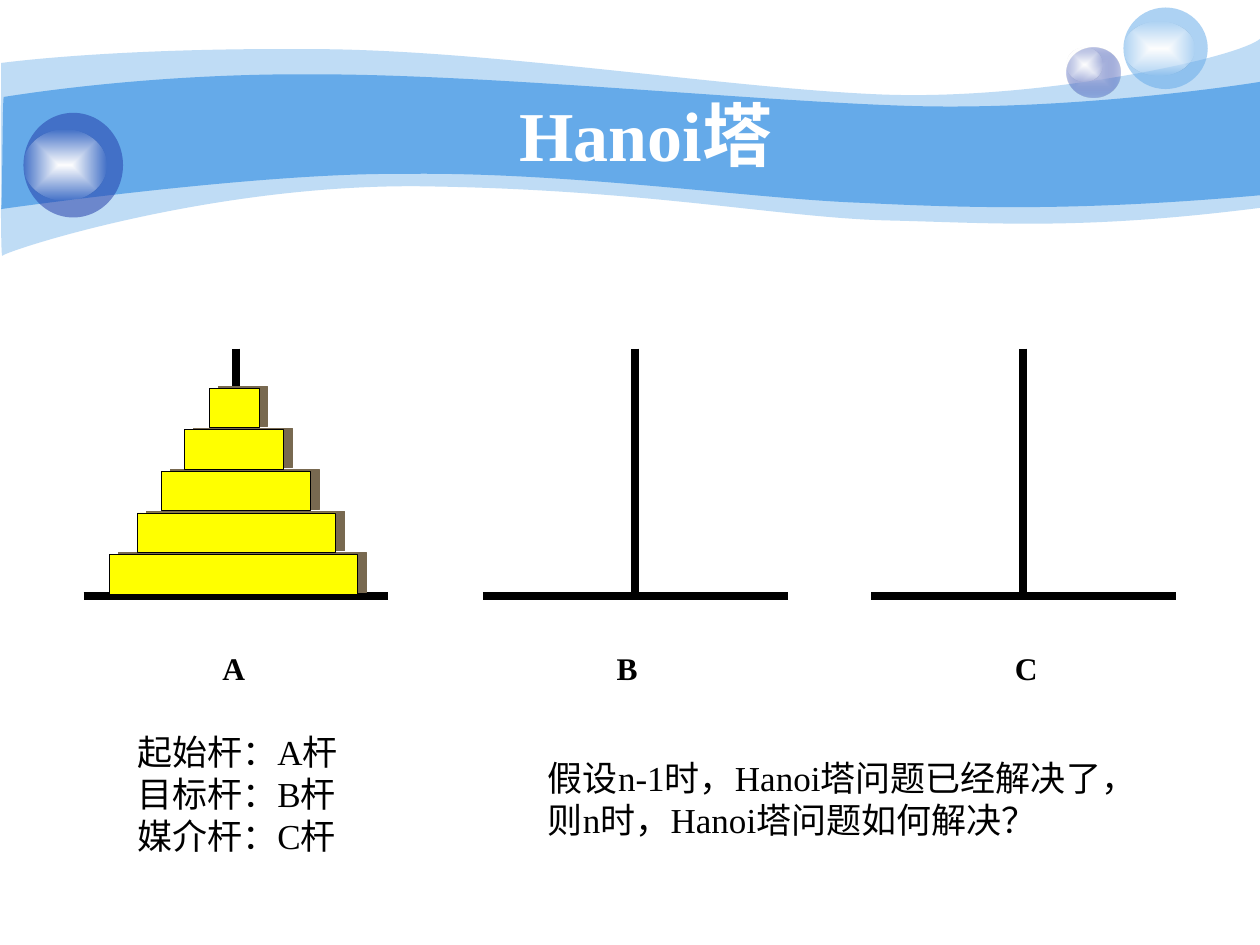
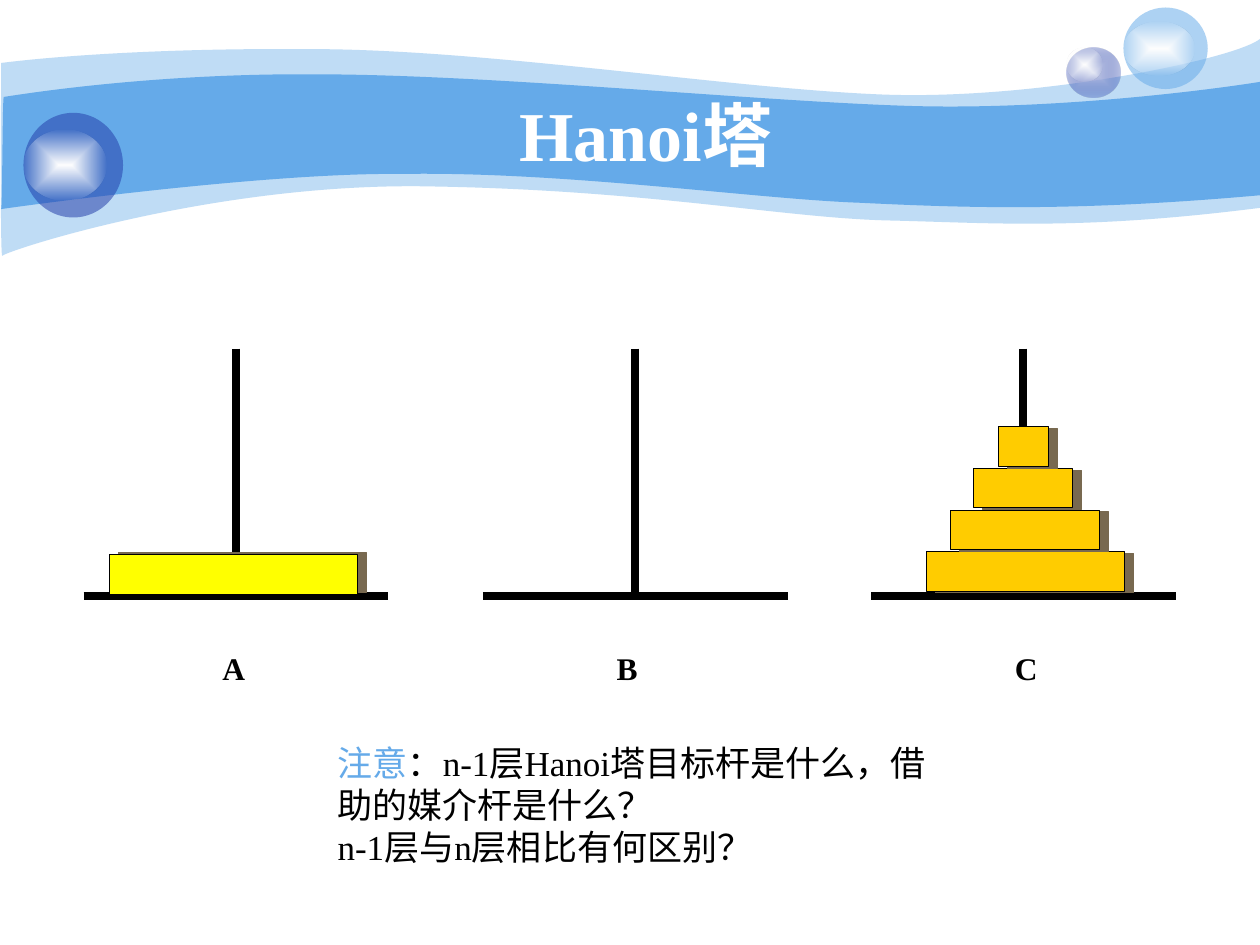
from lxml import etree
from pptx import Presentation
from pptx.dml.color import RGBColor
from pptx.enum.shapes import MSO_CONNECTOR as LINE, MSO_SHAPE as SHAPE
from pptx.enum.text import MSO_ANCHOR as ANCHOR, MSO_AUTO_SIZE as FIT, PP_ALIGN as ALIGN
from pptx.oxml import parse_xml
from pptx.oxml.ns import nsdecls, qn
from pptx.util import Pt

HUES = dict(sky="65AAE9", navy="233DA9", mist="C7CEE9", white="FFFFFF", black="000000",
            yellow="FFFF00", gold="FFCC00", shade="786950")
FACE = "Times New Roman"
TITLE = "Hanoi塔"

# Bands: opacity, start point, then curves (two handles and an end) or single line points
BANDS = [
    (41, (0.7, 36), [
        [(18, 33.8), (78.5, 27.4), (177.8, 28.1)],
        [(277.9, 28.1), (414.7, 50.4), (503.3, 54)],
        [(591.8, 57.6), (705.6, 33.8), (720, 22.3)],
        [(720, 118.8)],
        [(617.8, 131.8), (567.4, 127.4), (507.6, 126)],
        [(447.8, 124.6), (371.5, 108.7), (247.7, 106.6)],
        [(124.6, 103.7), (3.6, 143.3), (1.4, 146.2)],
        [(0, 149.8), (0.7, 54), (0.7, 36)]]),
    (100, (2.2, 55.4), [
        [(3.6, 55.4), (80.6, 41.8), (180, 42.5)],
        [(279.4, 42.5), (429.1, 57.6), (517.7, 60.5)],
        [(606.2, 63.4), (702.7, 49.7), (720, 46.8)],
        [(720, 111.6)],
        [(614.2, 121), (551.5, 118.8), (491.8, 115.9)],
        [(432, 113.8), (322.6, 97.9), (229.7, 99.4)],
        [(147.6, 98.6), (0, 119.5), (0.7, 119.5)],
        [(1.4, 119.5), (1.4, 55.4), (2.2, 55.4)]]),
]

# Bubbles: box, then fill stops as (hue, opacity) from centre to rim
GLOW = [("white", 100), ("white", 0)]
BUBBLES = [
    ((609.8, 27.2, 30.2, 28.8), [("mist", 100), ("navy", 31)]),
    ((609.8, 27.2, 20.2, 19.4), GLOW),
    ((642, 4.3, 48.2, 46.6), [("sky", 53)]),
    ((642, 12.2, 40.3, 31), GLOW),
    ((13.4, 64.5, 56.9, 59.8), [("navy", 53)]),
    ((13.4, 74.2, 47.5, 40.3), GLOW),
]

# Pegs: name, pole x, label centre x
PEGS = [("A", 134.8, 133.5), ("B", 363, 358.4), ("C", 584.8, 586.3)]
TOP, BASE, HALF = 199.2, 340.8, 87
UNIT, THICK, STEP = 28.35, 22.6, 23.76
LEAN = {5: -1.3, 4: 0.4, 3: 0.1, 2: -1, 1: -0.8}  # disc size: offset from its pole

# Stacks: disc sizes from the bottom, hue, shadow angle, shift of all discs, lowest top.
# Notes: box, then paragraphs of (text, hue) runs.
SLIDES = [
    dict(stacks={"A": ([5, 4, 3, 2, 1], "yellow", 349, 0, 316.9)},
         notes=[((306, 428.8, 354.2, 55.4),
                 [[("假设n-1时，Hanoi塔问题已经解决了，则n时，Hanoi塔问题如何解决？", "black")]]),
                ((71.3, 414, 200.2, 79.9),
                 [[("起始杆：A杆", "black")], [("目标杆：B杆", "black")],
                  [("媒介杆：C杆", "black")]])]),
    dict(stacks={"A": ([5], "yellow", 349, 0, 316.9),
                 "C": ([4, 3, 2, 1], "gold", 11, 0.9, 315.2)},
         notes=[((185.8, 420.2, 354.2, 79.9),
                 [[("注意", "sky"), ("：n-1层Hanoi塔目标杆是什么，借助的媒介杆是什么？", "black")],
                  [("n-1层与n层相比有何区别？", "black")]])]),
]


def rgb(hue):
    return RGBColor.from_string(HUES[hue])


def pts(*nums):
    return [Pt(n) for n in nums]


def style(font, size, hue=None, bold=False):
    font.name, font.size, font.bold = FACE, Pt(size), bold
    if hue:
        font.color.rgb = rgb(hue)


def paint(shape, stops):
    """Fill with one hue or a centred gradient, each with its opacity."""
    shape.shadow.inherit = False
    shape.line.fill.background()
    tints = [f'<a:srgbClr val="{HUES[hue]}"><a:alpha val="{share * 1000}"/></a:srgbClr>'
             for hue, share in stops]
    if len(tints) == 1:
        xml = f'<a:solidFill {nsdecls("a")}>{tints[0]}</a:solidFill>'
    else:
        xml = (f'<a:gradFill {nsdecls("a")} rotWithShape="1"><a:gsLst>'
               f'<a:gs pos="0">{tints[0]}</a:gs><a:gs pos="100000">{tints[1]}</a:gs></a:gsLst>'
               '<a:path path="shape"><a:fillToRect l="50000" t="50000" r="50000" b="50000"/>'
               '</a:path></a:gradFill>')
    shape.element.spPr.find(qn("a:ln")).addprevious(parse_xml(xml))


def band(slide, start, parts):
    """Draw the outline through all points, then turn each triple into a curve."""
    pen = slide.shapes.build_freeform(*pts(*start))
    pen.add_line_segments([pts(*dot) for part in parts for dot in part], close=True)
    shape = pen.convert_to_shape()
    steps = iter(list(shape.element.iter(qn("a:lnTo"))))
    for part in parts:
        first, *rest = [next(steps) for _ in part]
        if rest:
            first.tag = qn("a:cubicBezTo")
        for step in rest:
            first.append(step[0])
            step.getparent().remove(step)
    return shape


def dress(master, slide):
    """Draw bands and bubbles, then move them to the master for all slides."""
    made = []
    for share, start, parts in BANDS:
        made.append(band(slide, start, parts))
        paint(made[-1], [("sky", share)])
    for box, stops in BUBBLES:
        made.append(slide.shapes.add_shape(SHAPE.OVAL, *pts(*box)))
        paint(made[-1], stops)
    for i, shape in enumerate(made):
        shape.element.nvSpPr.cNvPr.set("id", str(100 + i))
        master.shapes.element.append(shape.element)


def head(slide):
    title = slide.shapes.title
    title.left, title.top, title.width, title.height = pts(78.1, 54, 581.8, 44.6)
    frame = title.text_frame
    frame.text = TITLE
    frame.auto_size, frame.vertical_anchor = FIT.NONE, ANCHOR.MIDDLE
    para = frame.paragraphs[0]
    para.alignment = ALIGN.CENTER
    style(para.font, 40, "white", True)


def rod(slide, *ends):
    line = slide.shapes.add_connector(LINE.STRAIGHT, *pts(*ends))
    line.line.color.rgb, line.line.width = rgb("black"), Pt(4.5)
    etree.SubElement(line.element.spPr, qn("a:effectLst"))


def disc(slide, box, hue, angle):
    shape = slide.shapes.add_shape(SHAPE.RECTANGLE, *pts(*box))
    shape.fill.solid()
    shape.fill.fore_color.rgb = rgb(hue)
    shape.line.color.rgb, shape.line.width = rgb("black"), Pt(0.5)
    shape.shadow.inherit = False
    shade = etree.SubElement(shape.element.spPr.find(qn("a:effectLst")), qn("a:outerShdw"),
                             dist=str(Pt(5.1)), dir=str(angle * 60000), algn="ctr",
                             rotWithShape="0")
    etree.SubElement(shade, qn("a:srgbClr"), val=HUES["shade"])


def stack(slide, x, sizes, hue, angle, shift, low):
    for i, size in enumerate(sizes):
        wide = size * UNIT
        left = x + LEAN[size] + shift - wide / 2
        disc(slide, (left, low - i * STEP, wide, THICK), hue, angle)


def peg(slide, name, x, mid, pile):
    rod(slide, x - HALF, BASE, x + HALF, BASE)
    rod(slide, x, TOP, x, BASE)
    if pile:
        stack(slide, x, *pile)
    frame = slide.shapes.add_textbox(*pts(mid - 13.5, 367.2, 27, 28.8)).text_frame
    frame.text, frame.word_wrap = name, False
    frame.auto_size, frame.vertical_anchor = FIT.SHAPE_TO_FIT_TEXT, ANCHOR.MIDDLE
    para = frame.paragraphs[0]
    para.alignment = ALIGN.CENTER
    style(para.font, 18, "black", True)


def note(slide, box, paras):
    shape = slide.shapes.add_textbox(*pts(*box))
    frame = shape.text_frame
    frame.word_wrap, frame.auto_size = True, FIT.SHAPE_TO_FIT_TEXT
    for i, runs in enumerate(paras):
        para = frame.add_paragraph() if i else frame.paragraphs[0]
        style(para.font, 20)
        for text, hue in runs:
            run = para.add_run()
            run.text, run.font.color.rgb = text, rgb(hue)
    for props in shape.element.iter(qn("a:pPr")):
        props.set("hangingPunct", "0")


def main():
    prs = Presentation()
    prs.slide_width, prs.slide_height = pts(720, 540)
    for i, plan in enumerate(SLIDES):
        slide = prs.slides.add_slide(prs.slide_layouts[5])
        if i == 0:
            dress(prs.slide_master, slide)
        head(slide)
        for name, x, mid in PEGS:
            peg(slide, name, x, mid, plan["stacks"].get(name))
        for box, paras in plan["notes"]:
            note(slide, box, paras)
    prs.save("out.pptx")


if __name__ == "__main__":
    main()
